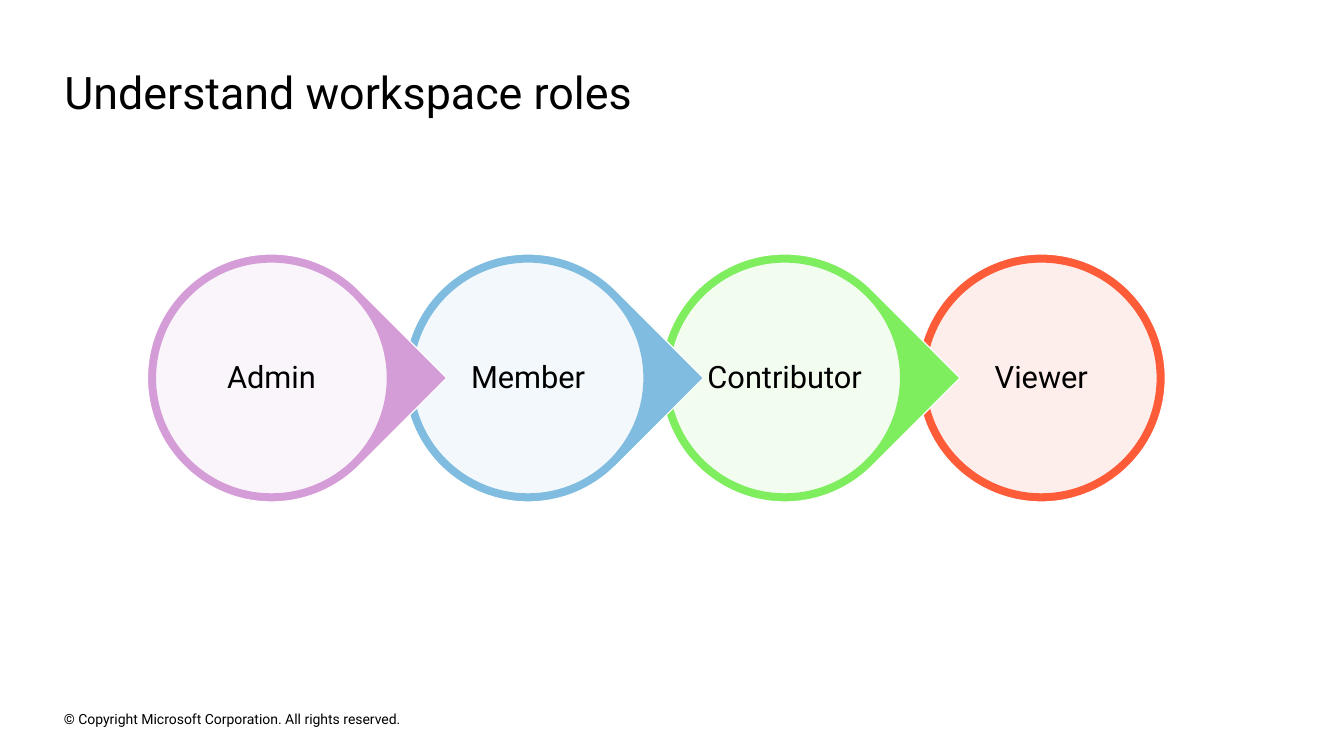
from dataclasses import dataclass

from lxml import etree
from pptx import Presentation
from pptx.dml.color import RGBColor
from pptx.enum import shapes, text
from pptx.oxml import ns
from pptx.util import Pt


@dataclass(frozen=True)
class Theme:
    font: str = "Roboto"
    ink: str = "000000"
    paper: str = "FFFFFF"
    title_size: float = 32
    label_size: float = 22
    footer_size: float = 10
    outline: float = 0.85


ROLES = [
    ("Admin", "D59DD7"),
    ("Member", "7FBCE0"),
    ("Contributor", "7EED5E"),
    ("Viewer", "FE5B38"),
]
FIRST_CENTER, CENTER_Y, PITCH = 193.9, 270, 183.3
RING, DISC, LABEL = 177.1, 165.6, 118


class RolePage:
    def __init__(self, page, theme):
        self.page = page
        self.theme = theme

    def set_text(self, box, words, size, anchor, align=text.PP_ALIGN.LEFT, margin=0):
        frame = box.text_frame
        frame.word_wrap = True
        frame.vertical_anchor = anchor
        frame.margin_left = frame.margin_right = Pt(margin)
        frame.margin_top = frame.margin_bottom = Pt(margin)
        frame.text = words
        para = frame.paragraphs[0]
        para.alignment = align
        para.font.name = self.theme.font
        para.font.size = Pt(size)
        para.font.color.rgb = RGBColor.from_string(self.theme.ink)
        return para

    def title(self, words, left, top, width, height):
        box = self.page.shapes.title
        box.left, box.top, box.width, box.height = map(Pt, (left, top, width, height))
        self.set_text(box, words, self.theme.title_size, text.MSO_ANCHOR.TOP)
        box.text_frame.auto_size = text.MSO_AUTO_SIZE.SHAPE_TO_FIT_TEXT

    def footer(self, words, left, top, width, height):
        box = self.page.shapes.add_textbox(*map(Pt, (left, top, width, height)))
        self.set_text(box, words, self.theme.footer_size, text.MSO_ANCHOR.MIDDLE)

    def round_shape(self, kind, center_x, size, fill, line):
        """Add a shape of equal width and height, centred on the row."""
        shape = self.page.shapes.add_shape(
            kind, Pt(center_x - size / 2), Pt(CENTER_Y - size / 2), Pt(size), Pt(size))
        shape.shadow.inherit = False
        shape.fill.solid()
        shape.fill.fore_color.rgb = RGBColor.from_string(fill)
        shape.line.color.rgb = RGBColor.from_string(line)
        shape.line.width = Pt(self.theme.outline)
        return shape

    def role(self, name, color, center_x, pointed):
        kinds = shapes.MSO_SHAPE
        ring = self.round_shape(kinds.TEAR if pointed else kinds.OVAL,
                                center_x, RING, color, self.theme.paper)
        if pointed:
            ring.rotation = 45
        disc = self.round_shape(kinds.OVAL, center_x, DISC, self.theme.paper, color)
        tint = disc.element.spPr.find(ns.qn("a:solidFill"))[0]
        etree.SubElement(tint, ns.qn("a:alpha"), val="90000")
        label = self.page.shapes.add_textbox(
            Pt(center_x - LABEL / 2), Pt(CENTER_Y - LABEL / 2), Pt(LABEL), Pt(LABEL))
        para = self.set_text(label, name, self.theme.label_size, text.MSO_ANCHOR.MIDDLE,
                             text.PP_ALIGN.CENTER, margin=2.2)
        para.line_spacing = 0.9


def main():
    deck = Presentation()
    deck.slide_width, deck.slide_height = Pt(960), Pt(540)
    page = RolePage(deck.slides.add_slide(deck.slide_layouts[5]), Theme())
    page.footer("© Copyright Microsoft Corporation. All rights reserved.", 45.7, 505.5, 327, 16)
    page.title("Understand workspace roles", 46, 46, 867, 39)
    # Right to left, so that each point lies over the next circle
    last = len(ROLES) - 1
    for index in range(last, -1, -1):
        name, color = ROLES[index]
        page.role(name, color, FIRST_CENTER + index * PITCH, pointed=index < last)
    deck.save("out.pptx")


if __name__ == "__main__":
    main()
